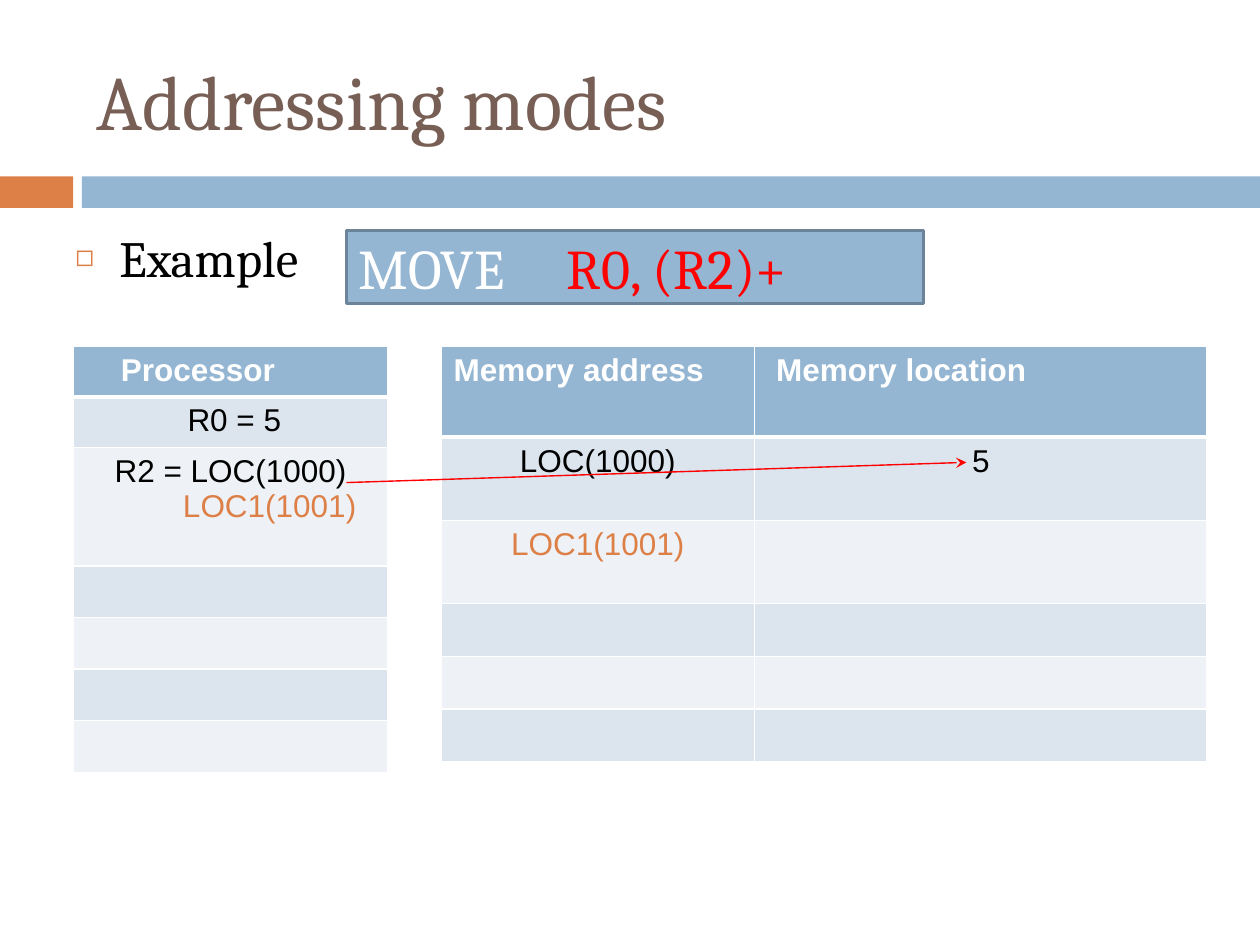
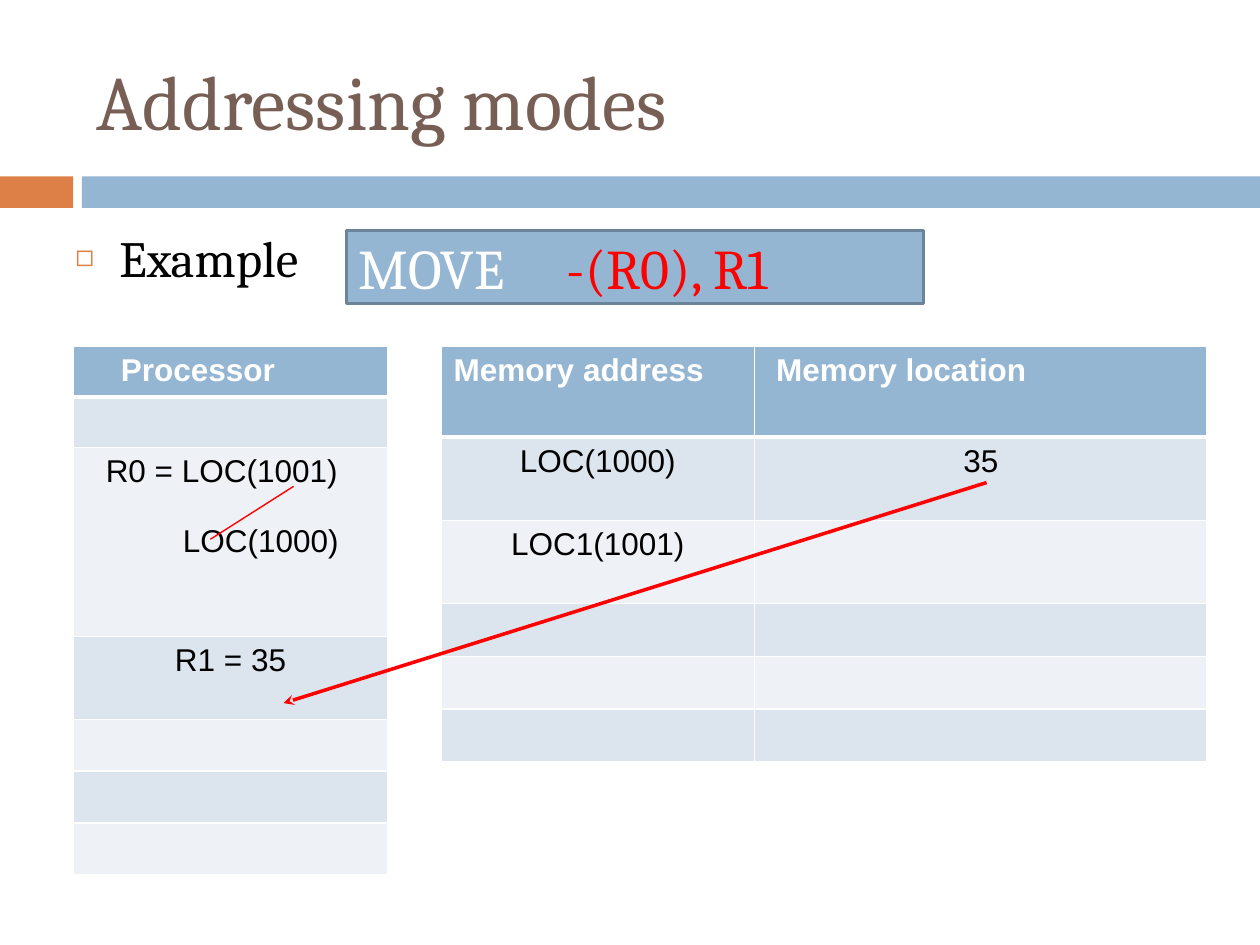
import pptx
import pptx.dml.color
import pptx.enum.shapes
import pptx.enum.text
import pptx.oxml
import pptx.oxml.ns
import pptx.util
from dataclasses import dataclass
from lxml import etree

Inches = pptx.util.Inches
Pt = pptx.util.Pt
Align = pptx.enum.text.PP_ALIGN
Anchor = pptx.enum.text.MSO_ANCHOR


@dataclass(frozen=True)
class Theme:
    orange: str = "DD8047"
    blue: str = "94B6D2"
    brown: str = "775F55"
    outline: str = "6C8499"
    black: str = "000000"
    white: str = "FFFFFF"
    red: str = "FF0000"
    stripes: tuple = ("DCE5EE", "EEF2F7")
    serif: str = "Cambria"
    sans: str = "Arial"
    title: int = 44
    instruction: int = 32
    bullet: int = 29
    cell: int = 18


THEME = Theme()


@dataclass(frozen=True)
class Entry:
    text: str
    color: str = THEME.black
    left: float = 0
    right: float = 0
    before: int = 0


@dataclass(frozen=True)
class Arrow:
    start: tuple
    end: tuple
    width: float
    head: bool = True


TITLE = "Addressing modes"
BULLET = "Example"
BANDS = [((0, 1.4, 0.58, 0.25), THEME.orange), ((0.65, 1.4, 9.35, 0.25), THEME.blue)]
PROCESSOR_HEADER = [Entry("Processor", THEME.white, left=0.28)]
MEMORY_HEADERS = [
    [Entry("Memory address", THEME.white)],
    [Entry("Memory location", THEME.white, left=0.07)],
]
PROCESSOR_AT, PROCESSOR_COLUMNS = (0.58, 2.75), [2.5]
MEMORY_AT, MEMORY_COLUMNS = (3.5, 2.75), [2.49, 3.59]
MEMORY_HEIGHTS = [0.72, 0.66, 0.66, 0.42, 0.42, 0.42]

EXAMPLES = [
    {
        "operands": "R0, (R2)+",
        "processor": [
            [Entry("R0 = 5", left=0.06)],
            [Entry("R2 = LOC(1000)"), Entry("LOC1(1001)", THEME.orange, left=0.62)],
        ],
        "processor_heights": [0.38, 0.4, 0.94] + [0.41] * 4,
        "memory": [
            [[Entry("LOC(1000)")], [Entry("5")]],
            [[Entry("LOC1(1001)", THEME.orange)], []],
        ],
        "arrows": [Arrow((2.75, 3.83), (7.67, 3.67), 0.79)],
    },
    {
        "operands": "-(R0), R1",
        "processor": [
            [],
            [Entry("R0 = LOC(1001)", right=0.14), Entry("LOC(1000)", left=0.48, before=20)],
            [Entry("R1 = 35")],
        ],
        "processor_heights": [0.38, 0.4, 1.5, 0.66] + [0.41] * 3,
        "memory": [
            [[Entry("LOC(1000)")], [Entry("35")]],
            [[Entry("LOC1(1001)")], []],
        ],
        "arrows": [
            Arrow((1.67, 4.28), (2.33, 3.86), 0.79, head=False),
            Arrow((7.83, 3.83), (2.25, 5.58), 2),
        ],
    },
]


def rgb(color):
    return pptx.dml.color.RGBColor.from_string(color)


def add_xml(parent, *fragments):
    for fragment in fragments:
        namespace = pptx.oxml.ns.nsdecls("a")
        tag, rest = fragment.split(" ", 1)
        parent.append(pptx.oxml.parse_xml(f"<{tag} {namespace} {rest}"))


def style(run, size, color, family, bold=False):
    run.font.size = Pt(size)
    run.font.name = family
    run.font.bold = bold
    run.font.color.rgb = rgb(color)


def add_rectangle(slide, box, fill, outline=None):
    rectangle = slide.shapes.add_shape(
        pptx.enum.shapes.MSO_SHAPE.RECTANGLE, *map(Inches, box))
    rectangle.shadow.inherit = False
    rectangle.fill.solid()
    rectangle.fill.fore_color.rgb = rgb(fill)
    if outline:
        rectangle.line.color.rgb = rgb(outline)
        rectangle.line.width = Pt(1.5)
    else:
        rectangle.line.fill.background()
    return rectangle


def add_text(slide, box, text, size, color, anchor):
    frame = slide.shapes.add_textbox(*map(Inches, box)).text_frame
    frame.word_wrap = True
    frame.vertical_anchor = anchor
    frame.text = text
    style(frame.paragraphs[0].runs[0], size, color, THEME.serif)
    return frame.paragraphs[0]


def add_frame(slide):
    for box, fill in BANDS:
        add_rectangle(slide, box, fill)
    add_text(slide, (0.67, 0.25, 8.92, 1.08), TITLE, THEME.title, THEME.brown, Anchor.MIDDLE)
    example = add_text(slide, (0, 1.75, 10, 4.95), BULLET,
                       THEME.bullet, THEME.black, Anchor.TOP)
    properties = example._p.get_or_add_pPr()
    properties.set("marL", str(Inches(0.85)))
    properties.set("indent", str(Inches(-0.35)))
    add_xml(properties,
            f'a:buClr ><a:srgbClr val="{THEME.orange}"/></a:buClr>',
            'a:buSzPct val="60000"/>',
            f'a:buFont typeface="{THEME.sans}"/>',
            'a:buChar char="◻"/>')


def add_instruction(slide, operands):
    instruction = add_rectangle(slide, (2.75, 1.83, 4.58, 0.58), THEME.blue, THEME.outline)
    instruction.text_frame.vertical_anchor = Anchor.MIDDLE
    paragraph = instruction.text_frame.paragraphs[0]
    paragraph.alignment = Align.LEFT
    add_xml(paragraph._p.get_or_add_pPr(),
            f'a:tabLst ><a:tab pos="{Inches(1.65)}" algn="l"/></a:tabLst>')
    for text, color in [("MOVE\t", THEME.white), (operands, THEME.red)]:
        run = paragraph.add_run()
        run.text = text
        style(run, THEME.instruction, color, THEME.serif)


def fill_cell(cell, entries, row):
    header = row == 0
    for side in "LRTB":
        width = Pt(3 if header and side == "B" or row == 1 and side == "T" else 1)
        add_xml(cell._tc.get_or_add_tcPr(),
                f'a:ln{side} w="{width}"><a:solidFill>'
                f'<a:srgbClr val="{THEME.white}"/></a:solidFill></a:ln{side}>')
    cell.fill.solid()
    cell.fill.fore_color.rgb = rgb(THEME.blue if header else THEME.stripes[(row - 1) % 2])
    cell.text_frame.text = "\n".join(entry.text for entry in entries)
    for paragraph, entry in zip(cell.text_frame.paragraphs, entries):
        properties = paragraph._p.get_or_add_pPr()
        properties.set("marL", str(Inches(entry.left)))
        properties.set("marR", str(Inches(entry.right)))
        paragraph.alignment = Align.LEFT if header else Align.CENTER
        if entry.before:
            paragraph.space_before = Pt(entry.before)
        style(paragraph.runs[0], THEME.cell, entry.color, THEME.sans, header)


def add_grid(slide, at, widths, heights, rows):
    box = (*at, sum(widths), sum(heights))
    grid = slide.shapes.add_table(len(heights), len(widths), *map(Inches, box)).table
    grid.horz_banding = False
    for column, width in zip(grid.columns, widths):
        column.width = Inches(width)
    for r, height in enumerate(heights):
        grid.rows[r].height = Inches(height)
        for c in range(len(widths)):
            fill_cell(grid.cell(r, c), rows[r][c] if r < len(rows) else [], r)


def add_arrow(slide, arrow):
    line = slide.shapes.add_connector(
        pptx.enum.shapes.MSO_CONNECTOR.STRAIGHT, *map(Inches, arrow.start + arrow.end))
    line.line.color.rgb = rgb(THEME.red)
    line.line.width = Pt(arrow.width)
    if arrow.head:
        add_xml(line.line._get_or_add_ln(), 'a:tailEnd type="stealth"/>')
    etree.SubElement(line._element.spPr, pptx.oxml.ns.qn("a:effectLst"))


def main():
    deck = pptx.Presentation()
    deck.slide_width, deck.slide_height = Inches(10), Inches(7.5)
    for example in EXAMPLES:
        slide = deck.slides.add_slide(deck.slide_layouts[6])
        add_frame(slide)
        processor = [[entries] for entries in [PROCESSOR_HEADER] + example["processor"]]
        add_grid(slide, PROCESSOR_AT, PROCESSOR_COLUMNS,
                 example["processor_heights"], processor)
        add_grid(slide, MEMORY_AT, MEMORY_COLUMNS,
                 MEMORY_HEIGHTS, [MEMORY_HEADERS] + example["memory"])
        add_instruction(slide, example["operands"])
        for arrow in example["arrows"]:
            add_arrow(slide, arrow)
    deck.save("out.pptx")


if __name__ == "__main__":
    main()
